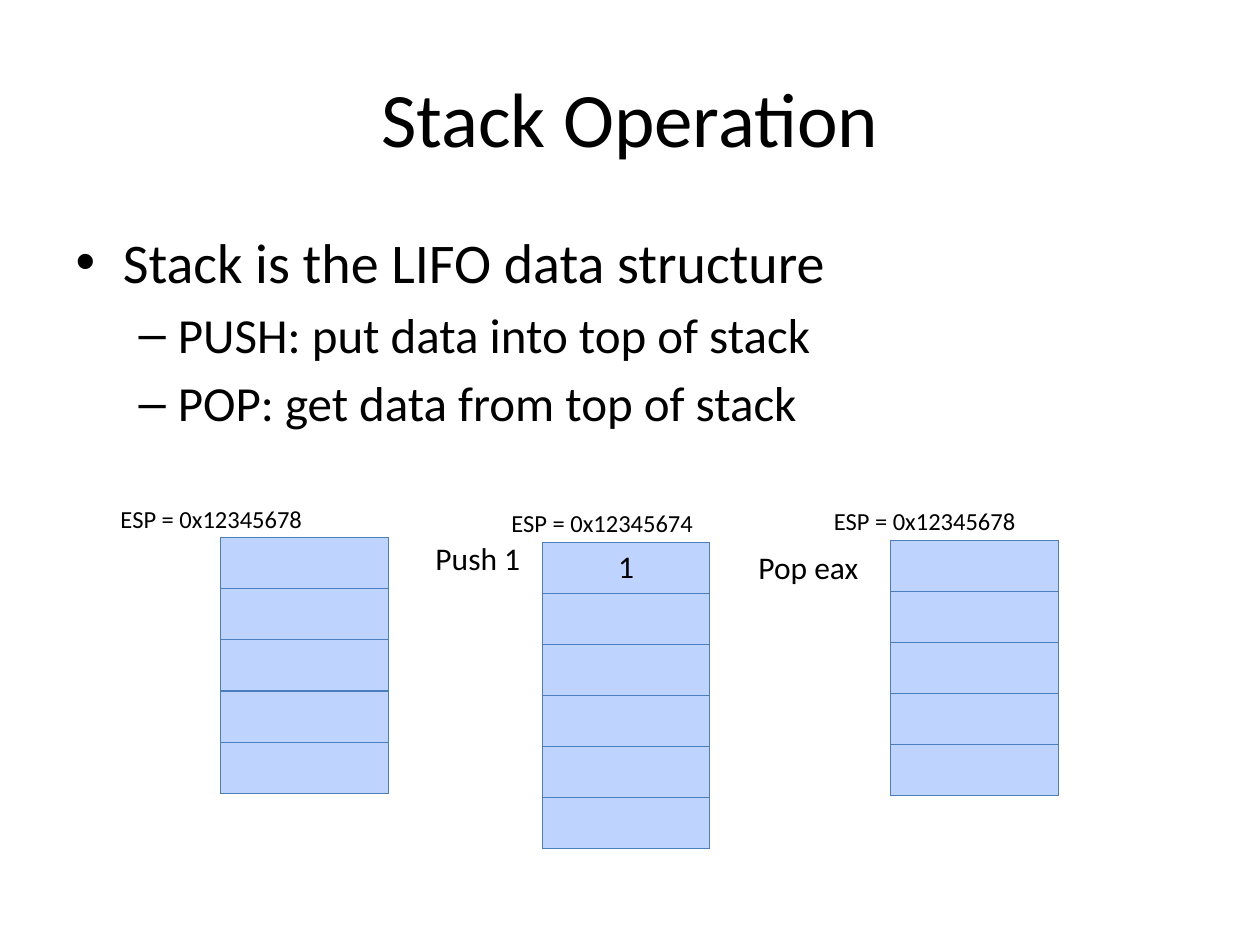
from lxml import etree
from pptx import Presentation
from pptx import util as u
from pptx.dml.color import RGBColor
from pptx.enum import text
from pptx.oxml import ns

BLACK = RGBColor(0x00, 0x00, 0x00)
CELL_BLUE = RGBColor(0xBF, 0xD3, 0xFF)
BORDER_BLUE = RGBColor(0x4B, 0x7E, 0xBC)
CELL_WIDTH = u.Cm(3.38)
CELL_HEIGHT = u.Cm(1.03)


def write(para, words, size=18, align=None, level=0):
    para.level = level
    para.alignment = align
    span = para.add_run()
    span.text = words
    span.font.name = "Calibri"
    span.font.size = u.Pt(size)
    span.font.color.rgb = BLACK


def add_borders(cell):
    properties = cell._tc.get_or_add_tcPr()
    for side in ("a:lnL", "a:lnR", "a:lnT", "a:lnB"):
        line = etree.SubElement(properties, ns.qn(side), w=str(u.Pt(0.75)))
        fill = etree.SubElement(line, ns.qn("a:solidFill"))
        etree.SubElement(fill, ns.qn("a:srgbClr"), val=str(BORDER_BLUE))


deck = Presentation()
deck.slide_width, deck.slide_height = u.Cm(25.4), u.Cm(19.05)
page = deck.slides.add_slide(deck.slide_layouts[1])

# Title
title = page.shapes.title
title.left, title.top, title.width, title.height = u.Cm(1.27), u.Cm(0.76), u.Cm(22.86), u.Cm(3.18)
title.text_frame.vertical_anchor = text.MSO_ANCHOR.MIDDLE
write(title.text_frame.paragraphs[0], "Stack Operation", size=44, align=text.PP_ALIGN.CENTER)

# Bullet list
body = page.placeholders[1]
body.left, body.top, body.width, body.height = u.Cm(1.27), u.Cm(4.45), u.Cm(22.86), u.Cm(12.57)
bullets = [
    ("Stack is the LIFO data structure", 32, 0),
    ("PUSH: put data into top of stack", 28, 1),
    ("POP: get data from top of stack", 28, 1),
]
for index, (words, size, level) in enumerate(bullets):
    para = body.text_frame.add_paragraph() if index else body.text_frame.paragraphs[0]
    write(para, words, size=size, level=level)

# Stacks before, after the push and after the pop: left, top, cell values
stacks = [
    (4.45, 10.84, [""] * 5),
    (10.93, 10.93, ["1"] + [""] * 5),
    (17.96, 10.89, [""] * 5),
]
for left, top, values in stacks:
    frame = page.shapes.add_table(len(values), 1, u.Cm(left), u.Cm(top),
                                  CELL_WIDTH, CELL_HEIGHT * len(values))
    table = frame.table
    table.first_row = False
    table.horz_banding = False
    for row, value in zip(table.rows, values):
        row.height = CELL_HEIGHT
        cell = row.cells[0]
        add_borders(cell)
        cell.fill.solid()
        cell.fill.fore_color.rgb = CELL_BLUE
        if value:
            write(cell.text_frame.paragraphs[0], value, align=text.PP_ALIGN.CENTER)

# Stack pointer values and operations: words, left, top, width, height, size
labels = [
    ("ESP = 0x12345678", 2.18, 10.03, 7.87, 0.86, 14),
    ("ESP = 0x12345674", 10.06, 10.11, 4.24, 0.86, 14),
    ("ESP = 0x12345678", 16.56, 10.08, 4.78, 0.86, 14),
    ("Push 1", 8.53, 10.74, 2.39, 1.02, 18),
    ("Pop eax", 15.04, 10.92, 2.92, 1.02, 18),
]
for words, left, top, width, height, size in labels:
    box = page.shapes.add_textbox(u.Cm(left), u.Cm(top), u.Cm(width), u.Cm(height))
    box.text_frame.word_wrap = True
    box.text_frame.auto_size = text.MSO_AUTO_SIZE.SHAPE_TO_FIT_TEXT
    write(box.text_frame.paragraphs[0], words, size=size)

deck.save("out.pptx")
